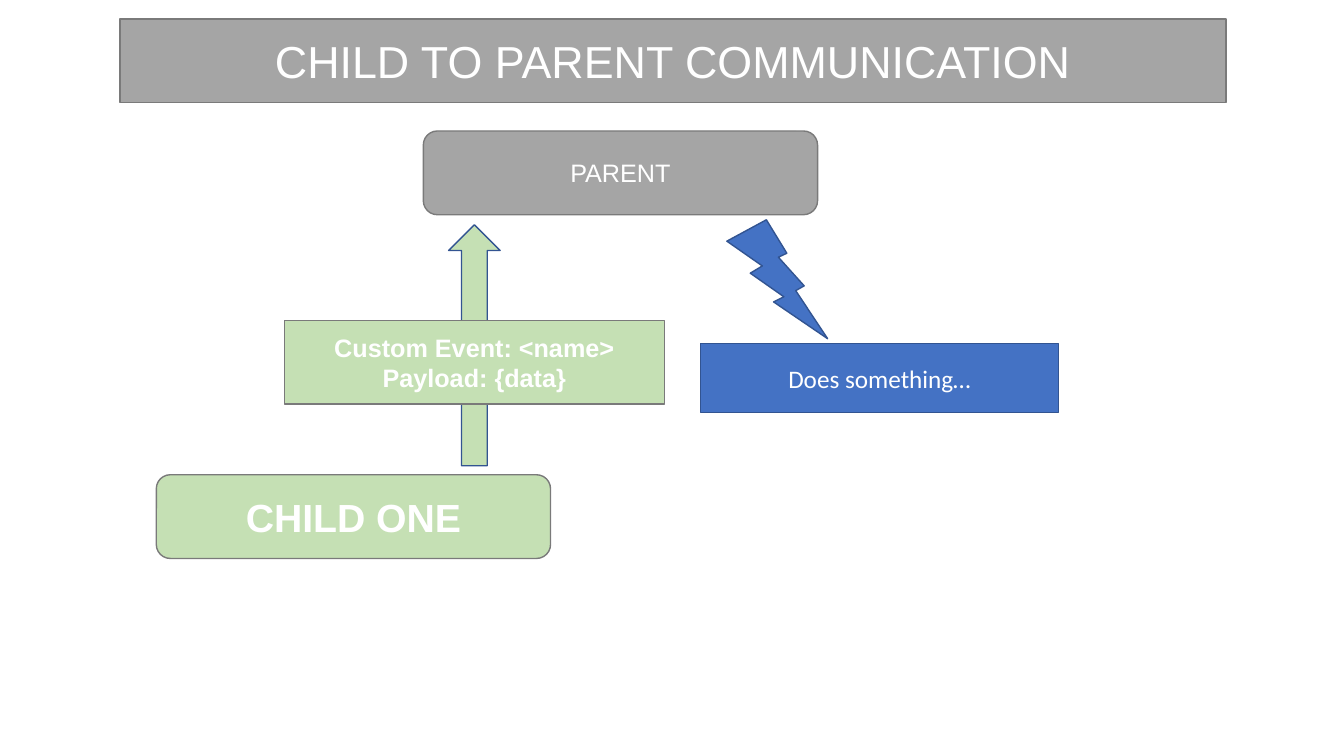
from dataclasses import dataclass

from pptx import Presentation
from pptx import util as u
from pptx.dml.color import RGBColor
from pptx.enum import shapes, text

KIND = shapes.MSO_SHAPE


@dataclass(frozen=True)
class Theme:
    grey: str = "A5A5A5"
    green: str = "C5E0B4"
    blue: str = "4472C4"
    grey_line: str = "7A7A7A"
    blue_line: str = "325491"
    white: str = "FFFFFF"
    font: str = "Arial"
    alt_font: str = "Calibri"
    title: int = 32
    heading: int = 28
    body: int = 18
    line: int = 1


class Diagram:
    """Draws on one slide; every box is (left, top, width, height) in percent."""

    def __init__(self, prs, theme):
        self.prs, self.theme = prs, theme
        self.slide = prs.slides.add_slide(prs.slide_layouts[5])

    def place(self, box):
        w, h = self.prs.slide_width, self.prs.slide_height
        return [round(v * side / 100) for v, side in zip(box, (w, h, w, h))]

    def paint(self, sp, fill, line):
        sp.fill.solid()
        sp.fill.fore_color.rgb = RGBColor.from_string(fill)
        sp.line.color.rgb = RGBColor.from_string(line)
        sp.line.width = u.Pt(self.theme.line)

    def add_text(self, sp, lines, size, bold=False, font=None):
        tf = sp.text_frame
        tf.word_wrap = True
        tf.auto_size = text.MSO_AUTO_SIZE.NONE
        tf.vertical_anchor = text.MSO_ANCHOR.MIDDLE
        for i, words in enumerate(lines):
            p = tf.add_paragraph() if i else tf.paragraphs[0]
            p.alignment = text.PP_ALIGN.CENTER
            r = p.add_run()
            r.text = words
            r.font.size, r.font.bold = u.Pt(size), bold
            r.font.name = font or self.theme.font
            r.font.color.rgb = RGBColor.from_string(self.theme.white)

    def title(self, box, words):
        sp = self.slide.shapes.title
        sp.left, sp.top, sp.width, sp.height = self.place(box)
        self.paint(sp, self.theme.grey, self.theme.grey_line)
        self.add_text(sp, [words], self.theme.title)

    def shape(self, kind, box, fill, line):
        sp = self.slide.shapes.add_shape(kind, *self.place(box))
        sp.shadow.inherit = False
        self.paint(sp, fill, line)
        return sp

    def label(self, kind, box, fill, line, lines, size, **style):
        self.add_text(self.shape(kind, box, fill, line), lines, size, **style)


def main():
    prs = Presentation()
    prs.slide_width, prs.slide_height = u.Inches(13.33), u.Inches(7.5)
    t = Theme()
    s = Diagram(prs, t)
    node_w, node_h = 29.33, 11.07

    # Title banner
    s.title((8.93, 2.53, 82.28, node_h), "CHILD TO PARENT COMMUNICATION")

    # Child and parent components
    s.label(KIND.ROUNDED_RECTANGLE, (11.63, 62.8, node_w, node_h), t.green, t.grey_line,
            ["CHILD ONE"], t.heading, bold=True)
    s.label(KIND.ROUNDED_RECTANGLE, (31.5, 17.33, node_w, node_h), t.grey, t.grey_line,
            ["PARENT"], t.body)

    # Event sent upwards, with its payload over the arrow
    s.shape(KIND.UP_ARROW, (33.38, 29.73, 3.83, 31.87), t.green, t.blue_line)
    s.label(KIND.RECTANGLE, (21.15, 42.4, 28.28, node_h), t.green, t.grey_line,
            ["Custom Event: <name>", "Payload: {data}"], t.body, bold=True)

    # Reaction of the parent
    s.label(KIND.RECTANGLE, (52.13, 45.47, 26.63, 9.07), t.blue, t.blue_line,
            ["Does something…"], t.body, font=t.alt_font)
    s.shape(KIND.LIGHTNING_BOLT, (54.08, 29.07, 7.5, 15.73), t.blue, t.blue_line)

    prs.save("out.pptx")


if __name__ == "__main__":
    main()
